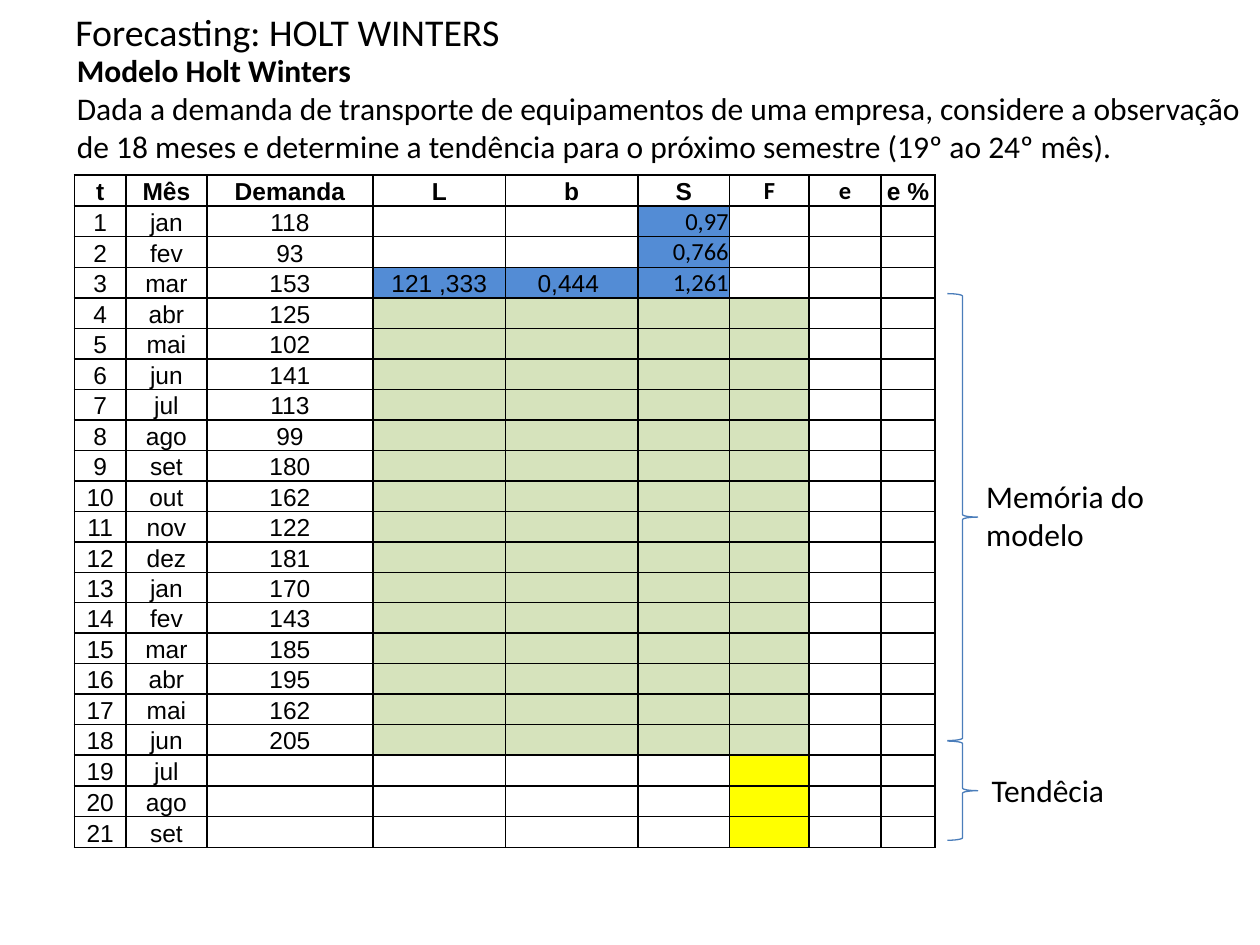
from dataclasses import dataclass
from typing import Optional

import pptx
import pptx.dml.color
import pptx.enum.shapes
import pptx.enum.text
import pptx.oxml.ns
import pptx.util
from lxml import etree
from pptx.dml.color import RGBColor
from pptx.enum.text import MSO_ANCHOR, PP_ALIGN
from pptx.util import Cm

BLACK = RGBColor(0x00, 0x00, 0x00)
WHITE = RGBColor(0xFF, 0xFF, 0xFF)
INITIAL_BLUE = RGBColor(0x53, 0x8C, 0xD5)
MEMORY_GREEN = RGBColor(0xD6, 0xE3, 0xBC)
FORECAST_YELLOW = RGBColor(0xFF, 0xFF, 0x00)
BRACE_BLUE = RGBColor(0x4A, 0x7D, 0xBA)

HEADERS = ["t", "Mês", "Demanda", "L", "b", "S", "F", "e", "e %"]
COLUMN_WIDTHS = [1.04, 1.63, 3.35, 2.67, 2.67, 1.85, 1.6, 1.45, 1.09]
MONTHS = ["jan", "fev", "mar", "abr", "mai", "jun",
          "jul", "ago", "set", "out", "nov", "dez"]
DEMAND = [118, 93, 153, 125, 102, 141, 113, 99, 180,
          162, 122, 181, 170, 143, 185, 195, 162, 205]
PERIODS = 21
SEASON = 3
INITIAL_VALUES = {(1, 5): "0,97", (2, 5): "0,766", (3, 3): "121 ,333",
                  (3, 4): "0,444 ", (3, 5): "1,261"}
L_COLUMN, S_COLUMN, F_COLUMN = 3, 5, 6
CALIBRI_HEADERS = ("F", "e")
TALL_ROW, SHORT_ROW = 0.62, 0.57


@dataclass
class Label:
    paragraphs: list[tuple[str, bool]]
    left: float
    top: float
    width: float
    height: float
    size: float = 18
    anchor: MSO_ANCHOR = MSO_ANCHOR.TOP


@dataclass
class Brace:
    top: float
    height: float


LABELS = [
    Label([("Forecasting: HOLT WINTERS", False)], 1.27, 0.13, 22.86, 0.99,
          21.6, MSO_ANCHOR.MIDDLE),
    Label([("Modelo Holt Winters", True),
           ("Dada a demanda de transporte de equipamentos de uma empresa, "
            "considere a observação de 18 meses e determine a tendência para "
            "o próximo semestre (19º ao 24º mês).", False)],
          1.3, 0.91, 24.1, 2.57),
    Label([("Memória do modelo", False)], 19.63, 9.5, 5.23, 1.02),
    Label([("Tendêcia", False)], 19.74, 15.42, 2.82, 1.02),
]
BRACES = [Brace(14.94, 2), Brace(5.92, 9.01)]


def write_text(paragraph, text: str, *, font: str = "Calibri", size: float = 18,
               bold: bool = False, align: PP_ALIGN = PP_ALIGN.LEFT) -> None:
    paragraph.alignment = align
    run = paragraph.add_run()
    run.text = text
    run.font.name = font
    run.font.size = pptx.util.Pt(size)
    run.font.bold = bold
    run.font.color.rgb = BLACK


def add_label(slide, label: Label) -> None:
    shape = slide.shapes.add_textbox(Cm(label.left), Cm(label.top),
                                     Cm(label.width), Cm(label.height))
    frame = shape.text_frame
    frame.word_wrap = True
    frame.vertical_anchor = label.anchor
    for index, (text, bold) in enumerate(label.paragraphs):
        paragraph = frame.add_paragraph() if index else frame.paragraphs[0]
        write_text(paragraph, text, size=label.size, bold=bold)


def add_brace(slide, brace: Brace) -> None:
    shape = slide.shapes.add_shape(pptx.enum.shapes.MSO_SHAPE.RIGHT_BRACE,
                                   Cm(19.1), Cm(brace.top), Cm(0.61), Cm(brace.height))
    shape.shadow.inherit = False
    shape.fill.background()
    shape.line.color.rgb = BRACE_BLUE
    shape.line.width = pptx.util.Pt(0.75)


def add_borders(cell) -> None:
    properties = cell._tc.get_or_add_tcPr()
    qn = pptx.oxml.ns.qn
    for position, side in enumerate(("a:lnL", "a:lnR", "a:lnT", "a:lnB")):
        line = etree.Element(qn(side), w=str(pptx.util.Pt(1)))
        fill = etree.SubElement(line, qn("a:solidFill"))
        etree.SubElement(fill, qn("a:srgbClr"), val=str(BLACK))
        properties.insert(position, line)


def cell_text(row: int, column: int) -> str:
    if row == 0:
        return HEADERS[column]
    if column == 0:
        return str(row)
    if column == 1:
        return MONTHS[(row - 1) % len(MONTHS)]
    if column == 2 and row <= len(DEMAND):
        return str(DEMAND[row - 1])
    return INITIAL_VALUES.get((row, column), "")


def cell_color(row: int, column: int) -> Optional[RGBColor]:
    if (row, column) in INITIAL_VALUES:
        return INITIAL_BLUE
    if SEASON < row <= len(DEMAND) and L_COLUMN <= column <= F_COLUMN:
        return MEMORY_GREEN
    if row > len(DEMAND) and column == F_COLUMN:
        return FORECAST_YELLOW
    return None


def fill_cell(cell, row: int, column: int) -> None:
    cell.margin_left = cell.margin_right = cell.margin_top = Cm(0.02)
    cell.margin_bottom = 0
    cell.vertical_anchor = MSO_ANCHOR.BOTTOM
    color = cell_color(row, column)
    if color is None:
        cell.fill.background()
    else:
        cell.fill.solid()
        cell.fill.fore_color.rgb = color
    add_borders(cell)

    paragraph = cell.text_frame.paragraphs[0]
    text = cell_text(row, column)
    if not text:
        # A small end mark keeps an empty cell from stretching its row
        etree.SubElement(paragraph._p, pptx.oxml.ns.qn("a:endParaRPr"), sz="1200")
        return
    seasonal = row > 0 and column == S_COLUMN
    calibri = seasonal or text in CALIBRI_HEADERS
    write_text(paragraph, text, font="Calibri" if calibri else "Arial", size=14,
               bold=row == 0, align=PP_ALIGN.RIGHT if seasonal else PP_ALIGN.CENTER)


def add_demand_table(slide) -> None:
    heights = [SHORT_ROW if SEASON < row <= len(DEMAND) else TALL_ROW
               for row in range(PERIODS + 1)]
    frame = slide.shapes.add_table(len(heights), len(HEADERS), Cm(1.5), Cm(3.53),
                                   Cm(sum(COLUMN_WIDTHS)), Cm(sum(heights)))
    table = frame.table
    table.first_row = table.horz_banding = False
    for column, width in zip(table.columns, COLUMN_WIDTHS):
        column.width = Cm(width)
    for row, height in enumerate(heights):
        table.rows[row].height = Cm(height)
        for column in range(len(HEADERS)):
            fill_cell(table.cell(row, column), row, column)


def main() -> None:
    presentation = pptx.Presentation()
    presentation.slide_width, presentation.slide_height = Cm(25.4), Cm(19.05)
    slide = presentation.slides.add_slide(presentation.slide_layouts[6])
    slide.background.fill.solid()
    slide.background.fill.fore_color.rgb = WHITE

    # Title and problem statement
    for label in LABELS[:2]:
        add_label(slide, label)
    # Demand table
    add_demand_table(slide)
    # Braces with their captions
    for brace in BRACES:
        add_brace(slide, brace)
    for label in LABELS[2:]:
        add_label(slide, label)

    presentation.save("out.pptx")


if __name__ == "__main__":
    main()
